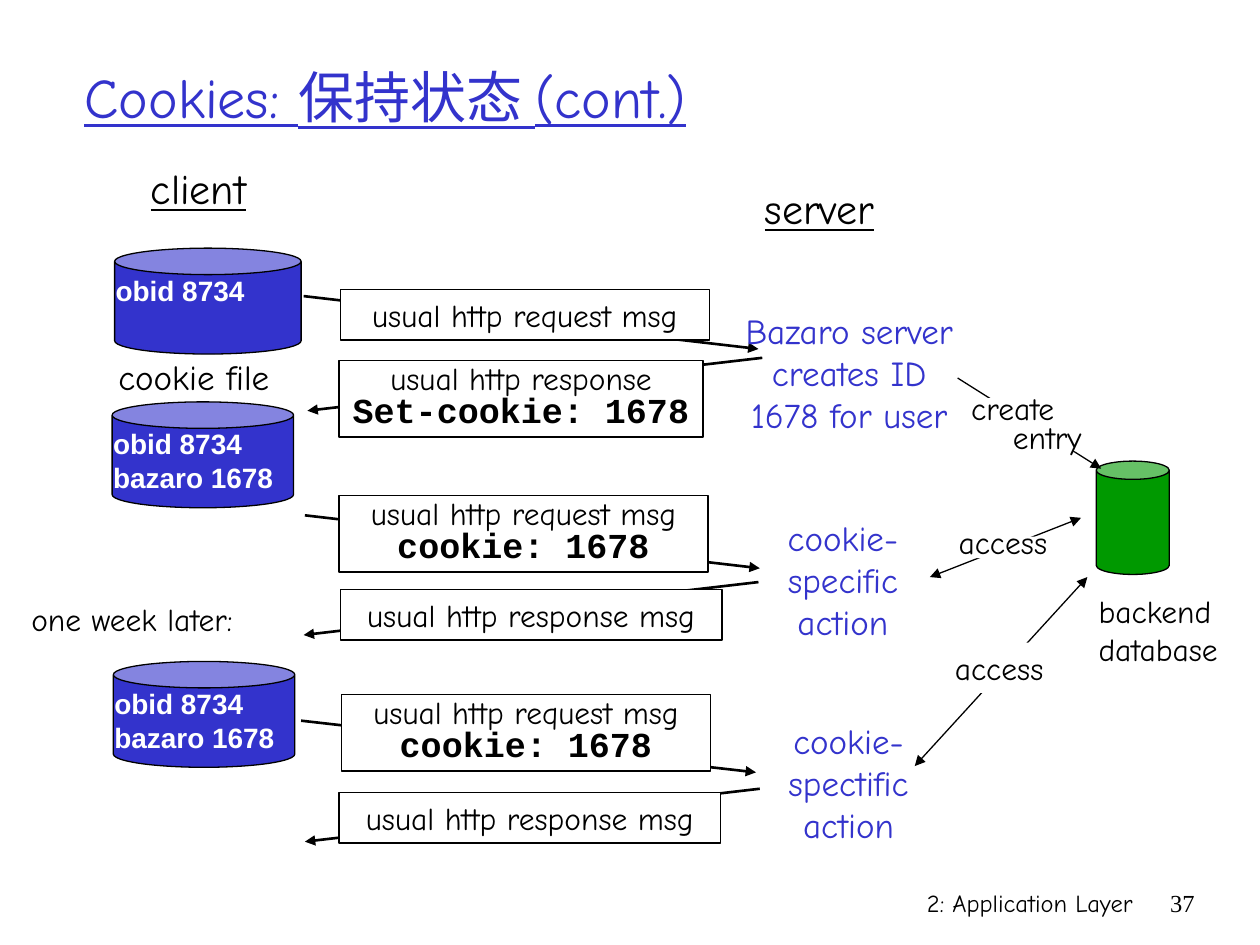
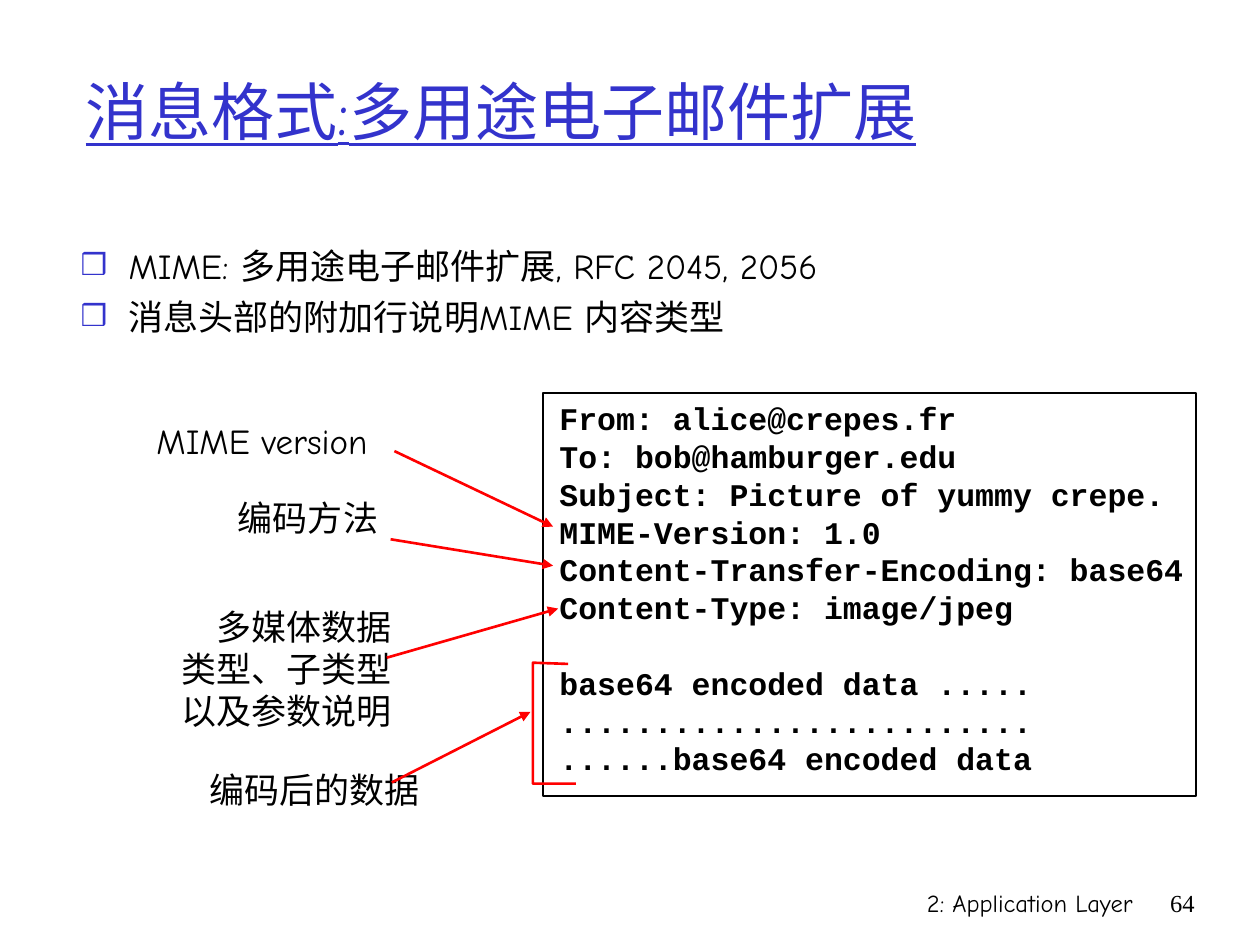
import pptx
import pptx.dml.color
import pptx.enum.shapes
import pptx.enum.text
import pptx.oxml
import pptx.oxml.ns
import pptx.util
from pptx.util import Inches

Shape = pptx.enum.shapes.MSO_SHAPE
Align = pptx.enum.text.PP_ALIGN
LEFT, CENTER, RIGHT = Align.LEFT, Align.CENTER, Align.RIGHT
BLUE, GREEN, RED = "3333CC", "009900", "FF0000"
BLACK, WHITE = "000000", "FFFFFF"
HAND, CODE, SANS, SERIF = "Comic Neue", "Courier New", "Arial", "Times New Roman"
TITLE_ONLY, TITLE_AND_BODY = 5, 1


def rgb(hex_code):
    return pptx.dml.color.RGBColor.from_string(hex_code)


def add_xml(parent, tag, **attributes):
    child = pptx.oxml.parse_xml(f"<a:{tag} {pptx.oxml.ns.nsdecls('a')}/>")
    for name, value in attributes.items():
        child.set(name, value)
    parent.append(child)
    return child


def set_all(target, values):
    for name, value in values.items():
        setattr(target, name, value)


class Painter:
    """Holds the shared style and the slide being drawn."""

    def __init__(self, deck):
        self.deck = deck
        self.page = None

    def new_page(self, layout, title, number, place, size):
        self.page = self.deck.slides.add_slide(self.deck.slide_layouts[layout])
        self.place(self.page.shapes.title, place)
        self.fill_text(self.page.shapes.title, [title], size=size, color=BLUE,
                       underline=True, anchor=pptx.enum.text.MSO_ANCHOR.MIDDLE)
        self.text((5.92, 7, 3.17, 0.5), ["2: Application Layer"], size=14,
                  align=RIGHT, wrap=True)
        self.text((9.08, 7, 0.5, 0.5), [number], size=14, font=SERIF,
                  align=RIGHT, wrap=True)

    def place(self, box, place):
        set_all(box, dict(zip(("left", "top", "width", "height"), map(Inches, place))))

    def fill_text(self, box, lines, size=18, font=HAND, color=BLACK, bold=False,
                  underline=False, align=LEFT, spacing=None, wrap=True, anchor=None):
        """Put in one paragraph a line; a line may be (text, font changes)."""
        frame = box.text_frame
        set_all(frame, {"word_wrap": wrap, "vertical_anchor": anchor,
                        "auto_size": pptx.enum.text.MSO_AUTO_SIZE.NONE})
        for index, line in enumerate(lines):
            words, changes = line if isinstance(line, tuple) else (line, {})
            para = frame.add_paragraph() if index else frame.paragraphs[0]
            set_all(para, {"alignment": align, "line_spacing": spacing,
                           "space_before": pptx.util.Pt(0)})
            span = para.add_run()
            span.text = words
            look = {"size": size, "name": font, "bold": bold,
                    "underline": underline} | changes
            look["size"] = pptx.util.Pt(look["size"])
            set_all(span.font, look)
            span.font.color.rgb = rgb(color)
        return frame

    def paint(self, box, fill=None, line=None, width=0.75):
        if fill:
            box.fill.solid()
            box.fill.fore_color.rgb = rgb(fill)
        else:
            box.fill.background()
        if line:
            box.line.color.rgb = rgb(line)
            box.line.width = pptx.util.Pt(width)
        else:
            box.line.fill.background()

    def text(self, place, lines, fill=None, line=None, width=0.75, wrap=False, **style):
        box = self.page.shapes.add_textbox(*map(Inches, place))
        self.paint(box, fill, line, width)
        return self.fill_text(box, lines, wrap=wrap, **style)

    def shape(self, kind, place, fill, line=None):
        box = self.page.shapes.add_shape(kind, *map(Inches, place))
        box.shadow.inherit = False
        self.paint(box, fill, line)

    def arrow(self, start, end, color=BLACK, width=1.5, both_ends=False):
        line = self.page.shapes.add_connector(
            pptx.enum.shapes.MSO_CONNECTOR.STRAIGHT, *map(Inches, start + end))
        line.line.color.rgb = rgb(color)
        line.line.width = pptx.util.Pt(width)
        edge = line._element.spPr.find(pptx.oxml.ns.qn("a:ln"))
        if both_ends:
            add_xml(edge, "headEnd", type="triangle")
        add_xml(edge, "tailEnd", type="triangle")
        add_xml(line._element.spPr, "effectLst")

    def outline(self, points, color, width):
        builder = self.page.shapes.build_freeform(
            *map(Inches, points[0]), scale=1.0)
        builder.add_line_segments(
            [tuple(map(Inches, point)) for point in points[1:]], close=False)
        box = builder.convert_to_shape()
        box.shadow.inherit = False
        self.paint(box, line=color, width=width)

    def bullets(self, place, lines, size):
        body = self.page.placeholders[1]
        self.place(body, place)
        frame = self.fill_text(body, lines, size=size)
        for index, para in enumerate(frame.paragraphs):
            props = para._p.get_or_add_pPr()
            props.set("marL", str(Inches(0.38)))
            props.set("indent", str(-Inches(0.38)))
            add_xml(add_xml(props, "buClr"), "srgbClr", val=BLUE)
            add_xml(props, "buSzPct", val="85000")
            add_xml(props, "buChar", char="❒")
            para.space_before = pptx.util.Pt(5 if index else 0)

    def message(self, start, end, place, words, header=None):
        """An arrow between client and server with its message box on top."""
        self.arrow(start, end)
        lines = [words]
        if header:
            lines.append((header, {"size": 20, "name": CODE, "bold": True}))
        self.text(place, lines, fill=WHITE, line=BLACK, align=CENTER, wrap=True,
                  spacing=0.8 if header else None)

    def cookie_file(self, left, top, width, lines):
        self.shape(Shape.CAN, (left, top, width, 0.84), BLUE, BLACK)
        self.text((left - 0.09, top + 0.15, 1.74, 0.64), lines, size=16,
                  font=SANS, color=WHITE, bold=True, wrap=True)


def draw_cookies(painter):
    painter.new_page(TITLE_ONLY, "Cookies: 保持状态 (cont.)", "37",
                     (0.57, 0.14, 8.5, 1.25), 32)
    for place, words in (((1.1, 1.24, 0.95, 0.5), "client"),
                         ((5.97, 1.4, 1.07, 0.5), "server")):
        painter.text(place, [words], size=24, underline=True, align=CENTER)
    painter.text((0.84, 2.77, 1.95, 0.44), ["cookie file"], size=20, wrap=True)
    painter.text((0.15, 4.71, 1.81, 0.4), ["one week later:"])

    request, response = "usual http request msg", "usual http response msg"
    for message in (
        ((2.41, 2.35), (6.02, 2.77), (2.7, 2.3, 2.93, 0.4), request),
        ((6.05, 2.84), (2.44, 3.26), (2.69, 2.86, 2.89, 0.61),
         "usual http response", "Set-cookie: 1678"),
        ((6.02, 4.62), (2.41, 5.04), (2.7, 4.68, 3.03, 0.4), response),
        ((2.42, 4.09), (6.03, 4.51), (2.69, 3.93, 2.93, 0.61), request, "cookie: 1678"),
        ((6.03, 6.26), (2.42, 6.68), (2.69, 6.29, 3.03, 0.4), response),
        ((2.39, 5.72), (6, 6.13), (2.71, 5.51, 2.93, 0.61), request, "cookie: 1678"),
    ):
        painter.message(*message)

    first_cookie, new_cookie = "obid 8734", "bazaro 1678"
    painter.cookie_file(0.91, 1.97, 1.48, [first_cookie])
    painter.cookie_file(0.89, 3.19, 1.44, [first_cookie, new_cookie])
    painter.cookie_file(0.9, 5.25, 1.44, [first_cookie, new_cookie])

    for place, lines in (
        ((5.75, 2.41, 1.98, 1.1), ["Bazaro server", "creates ID", "1678 for user"]),
        ((6.15, 4.05, 1.08, 1.1), ["cookie-", "specific", "action"]),
        ((6.16, 5.66, 1.15, 1.1), ["cookie-", "spectific", "action"]),
    ):
        painter.text(place, lines, size=20, color=BLUE, align=CENTER)

    painter.shape(Shape.CAN, (8.7, 3.66, 0.58, 0.9), GREEN, BLACK)
    painter.text((8.62, 4.65, 1.15, 0.7), ["backend", "database"], fill=WHITE)
    painter.arrow((7.6, 3), (8.74, 3.72), width=0.75)
    painter.shape(Shape.RECTANGLE, (7.76, 3.16, 1.05, 0.42), WHITE)
    create = painter.text((7.61, 3.11, 1.28, 0.55), ["create", "entry"],
                          spacing=0.75, wrap=True)
    create.paragraphs[1]._p.get_or_add_pPr().set("marL", str(Inches(0.33)))
    painter.arrow((7.38, 4.58), (8.58, 4.11), width=0.75, both_ends=True)
    painter.shape(Shape.RECTANGLE, (7.65, 4.26, 0.67, 0.17), WHITE)
    painter.text((7.51, 4.1, 0.9, 0.4), ["access"])
    painter.arrow((7.26, 6.08), (8.63, 4.58), width=0.75, both_ends=True)
    painter.text((7.48, 5.1, 0.9, 0.4), ["access"], fill=WHITE)


def draw_mime(painter):
    painter.new_page(TITLE_AND_BODY, "消息格式:多用途电子邮件扩展", "64",
                     (0.58, 0.25, 9.17, 1.25), 36)
    painter.bullets((0.54, 1.89, 8.01, 4.7), [
        "MIME: 多用途电子邮件扩展, RFC 2045, 2056",
        "消息头部的附加行说明MIME 内容类型"], 20)

    headers = ["From: alice@crepes.fr", "To: bob@hamburger.edu",
               "Subject: Picture of yummy crepe.", "MIME-Version: 1.0",
               "Content-Transfer-Encoding: base64", "Content-Type: image/jpeg"]
    data = ["base64 encoded data .....", ".........................",
            "......base64 encoded data"]
    mail = painter.text((4.31, 3.12, 5.18, 3.2), headers + data, font=CODE,
                        bold=True, line=BLACK, width=1, wrap=True)
    set_all(mail, {"margin_left": Inches(0.13), "margin_right": 0})
    mail.paragraphs[len(headers)].space_before = pptx.util.Pt(21.6)

    for place, lines, align, start, end in (
        ((1.14, 3.28, 1.88, 0.44), ["MIME version"], CENTER, (3.13, 3.58), (4.39, 4.18)),
        ((1.79, 3.89, 1.31, 0.44), ["编码方法"], RIGHT, (3.1, 4.28), (4.39, 4.49)),
        ((1.34, 4.76, 1.87, 1.1), ["多媒体数据", "类型、子类型", "以及参数说明"], RIGHT,
         (3.07, 5.22), (4.43, 4.83)),
        ((1.56, 6.05, 1.87, 0.44), ["编码后的数据"], RIGHT, (3.11, 6.21), (4.21, 5.65)),
    ):
        painter.text(place, lines, size=20, align=align)
        painter.arrow(start, end, RED)
    painter.outline([(4.51, 5.27), (4.23, 5.26), (4.23, 6.22), (4.57, 6.22)], RED, 1.5)


def main():
    deck = pptx.Presentation()
    set_all(deck, {"slide_width": Inches(10), "slide_height": Inches(7.5)})
    painter = Painter(deck)
    draw_cookies(painter)
    draw_mime(painter)
    deck.save("out.pptx")


if __name__ == "__main__":
    main()
